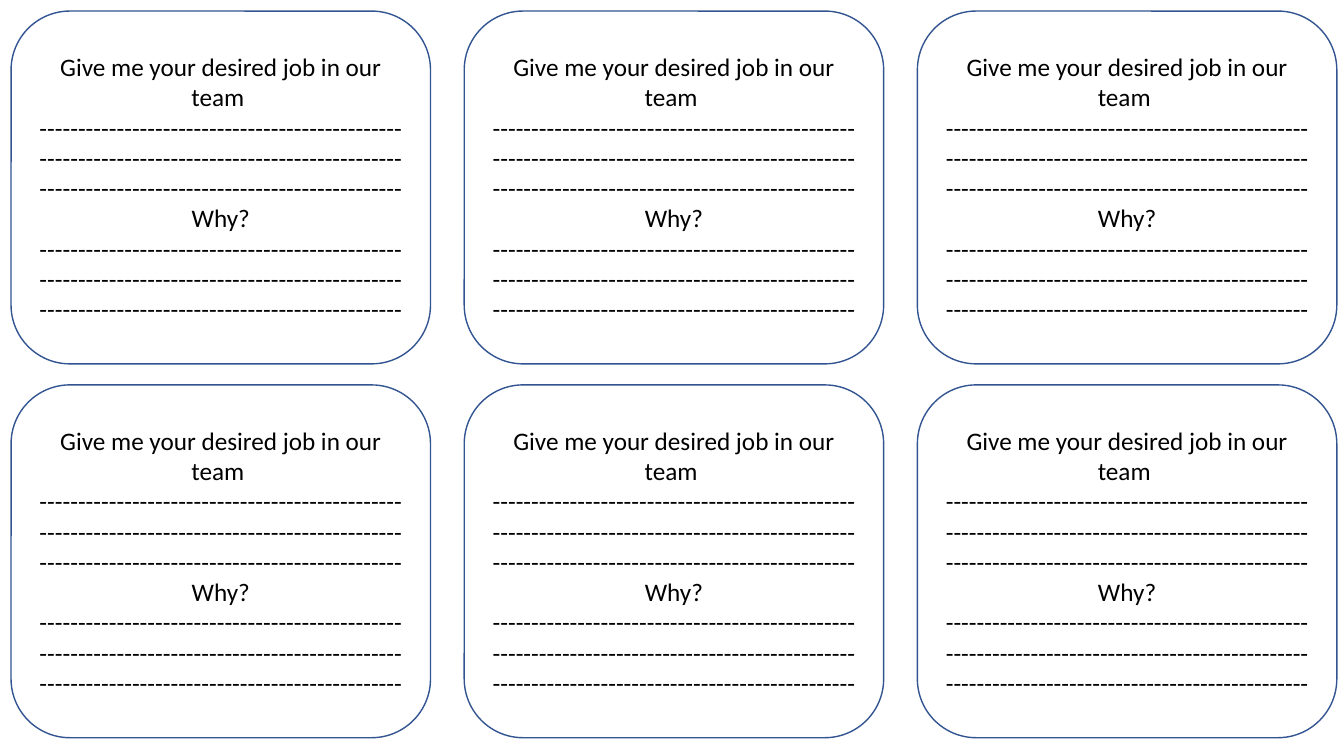
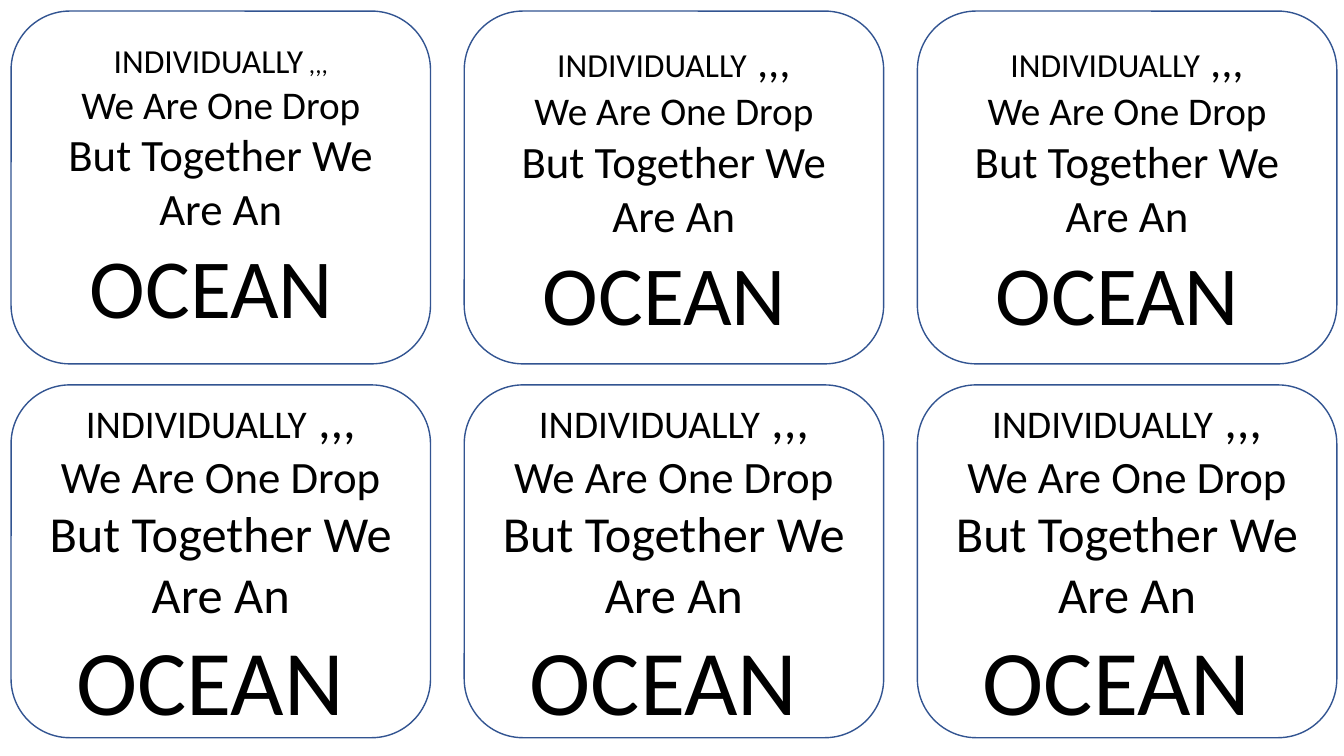
from typing import NamedTuple

from pptx import Presentation
from pptx.dml.color import RGBColor
from pptx.enum.shapes import MSO_SHAPE as Preset
from pptx.enum.text import MSO_ANCHOR as Anchor, PP_ALIGN as Align
from pptx.slide import Slide
from pptx.text.text import TextFrame
from pptx.util import Cm, Pt

COLORS = {"card": "FFFFFF", "outline": "325491", "text": "000000"}
FONT = "Calibri"
BLANK_LAYOUT = 6

COLUMNS, ROWS = 3, 2
MARGIN = 0.28
CARD_WIDTH, CARD_HEIGHT = 10.57, 8.89
COLUMN_PITCH, ROW_PITCH = 11.42, 9.42

# Three full rows of 47 dashes to write on
WRITING_LINES = "-" * 47 * 3


class Run(NamedTuple):
    text: str
    size: int = 18


Paragraphs = list[list[Run]]


def slogan(opening: int, commas: int, drop: int, together: int, ocean: int) -> Paragraphs:
    """Return the slogan, with a font size for each of its parts."""
    return [
        [Run("INDIVIDUALLY", opening), Run(" ,,,", commas)],
        [Run("We Are One Drop", drop)],
        [Run("But Together We Are An ", together), Run("OCEAN ", ocean)],
    ]


QUESTION: Paragraphs = [
    [Run("Give me your desired job in our team ")],
    [Run(WRITING_LINES)],
    [Run("Why?")],
    [Run(WRITING_LINES)],
]
FIRST_SLOGAN = slogan(24, 18, 28, 32, 60)
MEDIUM_SLOGAN = slogan(24, 32, 28, 32, 60)
LARGE_SLOGAN = slogan(28, 36, 32, 36, 66)

SLIDES: list[list[Paragraphs]] = [
    [QUESTION] * (COLUMNS * ROWS),
    [FIRST_SLOGAN] + [MEDIUM_SLOGAN] * 2 + [LARGE_SLOGAN] * COLUMNS,
]


def rgb(name: str) -> RGBColor:
    return RGBColor.from_string(COLORS[name])


def write_text(frame: TextFrame, paragraphs: Paragraphs, *, font: str = FONT,
               color: str = "text", align: Align = Align.CENTER,
               anchor: Anchor = Anchor.MIDDLE) -> None:
    frame.word_wrap = True
    frame.vertical_anchor = anchor
    for index, runs in enumerate(paragraphs):
        paragraph = frame.add_paragraph() if index else frame.paragraphs[0]
        paragraph.alignment = align
        for text, size in runs:
            run = paragraph.add_run()
            run.text = text
            run.font.name = font
            run.font.size = Pt(size)
            run.font.color.rgb = rgb(color)


def add_card(slide: Slide, position: int, paragraphs: Paragraphs) -> None:
    """Draw a card at its position in the grid, counted row by row."""
    row, column = divmod(position, COLUMNS)
    card = slide.shapes.add_shape(
        Preset.ROUNDED_RECTANGLE,
        Cm(MARGIN + column * COLUMN_PITCH), Cm(MARGIN + row * ROW_PITCH),
        Cm(CARD_WIDTH), Cm(CARD_HEIGHT),
    )
    card.shadow.inherit = False
    card.fill.solid()
    card.fill.fore_color.rgb = rgb("card")
    card.line.color.rgb = rgb("outline")
    card.line.width = Pt(1)
    write_text(card.text_frame, paragraphs)


def main() -> None:
    presentation = Presentation()
    presentation.slide_width, presentation.slide_height = Cm(33.87), Cm(19.05)
    for cards in SLIDES:
        slide = presentation.slides.add_slide(presentation.slide_layouts[BLANK_LAYOUT])
        for position, paragraphs in enumerate(cards):
            add_card(slide, position, paragraphs)
    presentation.save("out.pptx")


if __name__ == "__main__":
    main()
